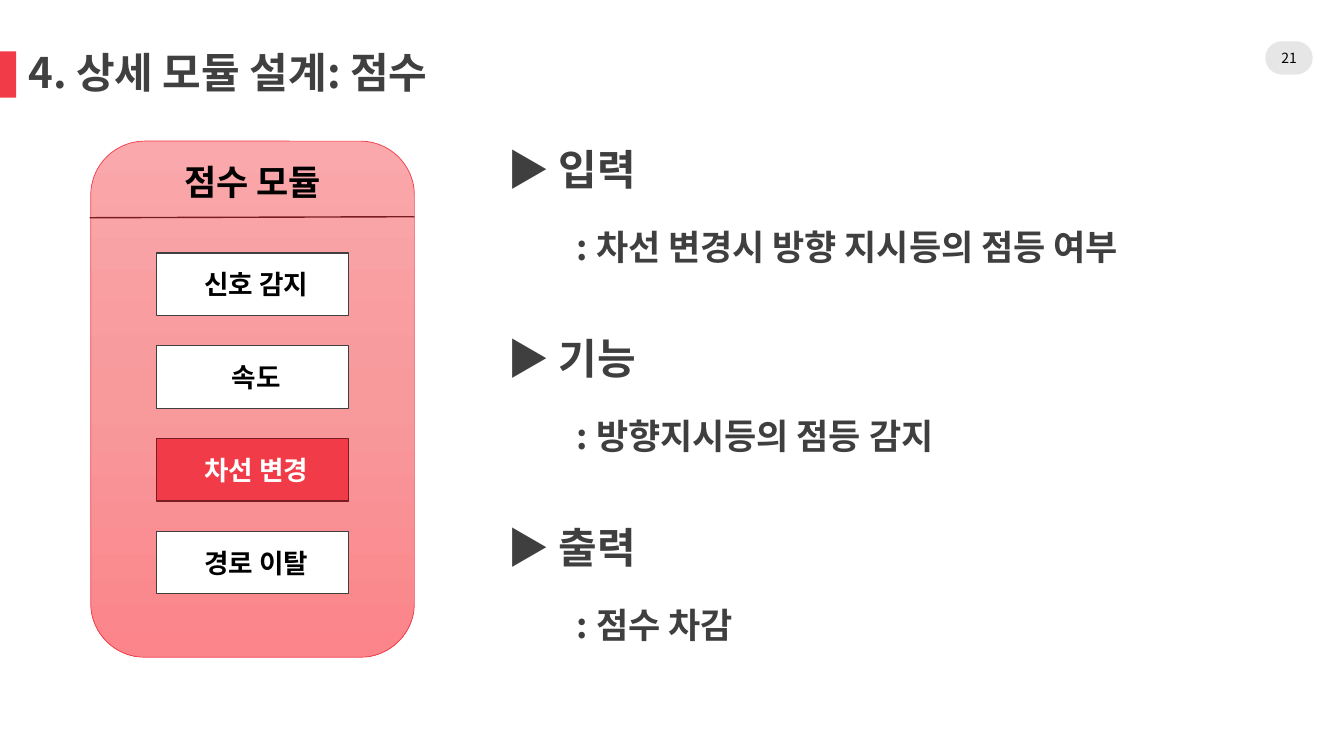
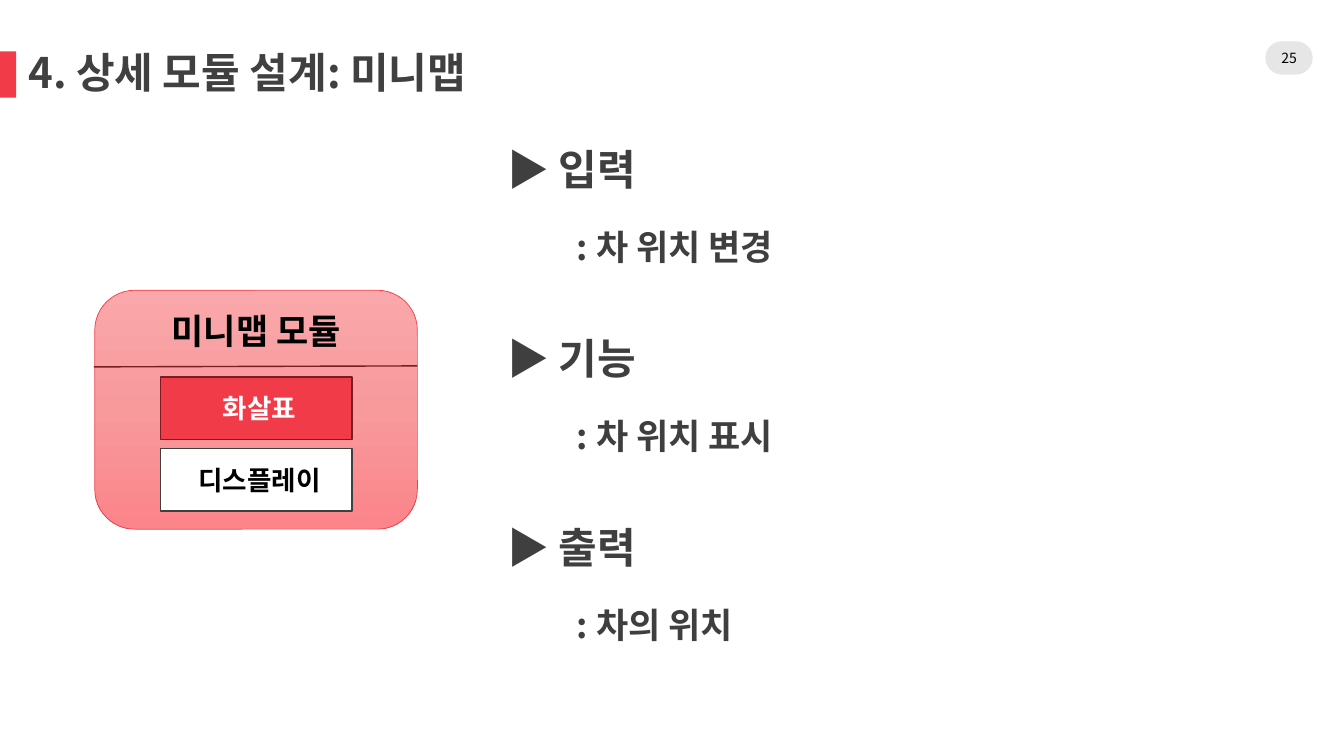
from copy import deepcopy

from lxml.etree import SubElement
from pptx import Presentation
from pptx.dml.color import RGBColor
from pptx.enum.shapes import MSO_CONNECTOR, MSO_SHAPE
from pptx.enum.text import MSO_ANCHOR, PP_ALIGN
from pptx.oxml.ns import qn
from pptx.util import Pt

EMU_PER_PX = 9144
FONT = "Noto Sans CJK KR"
RED, DARK_RED = "F23B48", "781D24"
BLACK, WHITE, PILL_GREY = "000000", "FFFFFF", "E7E6E6"
TITLE_GREY, TEXT_GREY = "404040", "3F3F3F"
PANEL_STOPS = [(0, "FAA8AB"), (0.5, "F8999C"), (1, "FB858A")]
ITEM_WIDTH, ITEM_HEIGHT = 190, 62

PAGES = [
    {
        "title": "4. 상세 모듈 설계: 점수",
        "number": "21",
        "panel": (90, 140, 321, 512),
        "module": "점수 모듈",
        "items": ["신호 감지", "속도", "차선 변경", "경로 이탈"],
        "active": "차선 변경",
        "first_item": 111,
        "pitch": 92,
        "details": [
            ("입력", "차선 변경시 방향 지시등의 점등 여부"),
            ("기능", "방향지시등의 점등 감지"),
            ("출력", "점수 차감"),
        ],
    },
    {
        "title": "4. 상세 모듈 설계: 미니맵",
        "number": "25",
        "panel": (94, 288, 320, 237),
        "module": "미니맵 모듈",
        "items": ["화살표", "디스플레이"],
        "active": "화살표",
        "first_item": 86,
        "pitch": 71,
        "details": [
            ("입력", "차 위치 변경"),
            ("기능", "차 위치 표시"),
            ("출력", "차의 위치"),
        ],
    },
]


def px(*lengths):
    """Turn pixel lengths into EMU."""
    return [round(length * EMU_PER_PX) for length in lengths]


def rgb(value):
    """Turn a hex string into a colour."""
    return RGBColor.from_string(value)


def style_para(para, size, color, bold=True, align=PP_ALIGN.LEFT):
    """Format a paragraph and its runs."""
    para.alignment = align
    for span in para.runs:
        span.font.name = FONT
        span.font.size = Pt(size)
        span.font.bold = bold
        span.font.color.rgb = rgb(color)
        SubElement(span.font._element, qn("a:ea")).set("typeface", FONT)


def set_frame(shape, anchor=MSO_ANCHOR.MIDDLE, left=0):
    """Give a shape a wrapped text frame without margins, except on the left."""
    frame = shape.text_frame
    frame.word_wrap = True
    frame.vertical_anchor = anchor
    frame.margin_left = px(left)[0]
    frame.margin_top = frame.margin_right = frame.margin_bottom = 0
    return frame


def add_box(page, kind, box, fill=None, line=None, width=1):
    """Add a preset shape with an optional solid fill and outline."""
    shape = page.shapes.add_shape(kind, *px(*box))
    shape.shadow.inherit = False
    if fill:
        shape.fill.solid()
        shape.fill.fore_color.rgb = rgb(fill)
    if line:
        shape.line.color.rgb = rgb(line)
        shape.line.width = Pt(width)
    else:
        shape.line.fill.background()
    return shape


def add_heading(page, title, number):
    """Place the title, its red band and the page number pill."""
    add_box(page, MSO_SHAPE.RECTANGLE, (0, 51, 16, 46), RED)
    holder = page.shapes.title
    holder.left, holder.top, holder.width, holder.height = px(28, 51, 849, 46)
    frame = set_frame(holder)
    frame.text = title
    frame.paragraphs[0].line_spacing = 0.9
    style_para(frame.paragraphs[0], 30, TITLE_GREY)

    pill = add_box(page, MSO_SHAPE.ROUNDED_RECTANGLE, (1255, 41, 47, 33), PILL_GREY)
    pill.adjustments[0] = 0.5
    frame = set_frame(pill)
    frame.text = number
    style_para(frame.paragraphs[0], 10, BLACK, False, PP_ALIGN.CENTER)


def fill_gradient(shape, stops):
    """Fill a shape from top to bottom with the given stops."""
    shape.fill.gradient()
    shape.fill.gradient_angle = 270
    stop_list = shape._element.spPr.find(qn("a:gradFill")).find(qn("a:gsLst"))
    stop_list.append(deepcopy(stop_list[0]))
    for stop, (position, color) in zip(shape.fill.gradient_stops, stops):
        stop.position = position
        stop.color.rgb = rgb(color)


def add_item(page, box, text, active):
    """Place one item of a module, in red when it is active."""
    fill, line, color = (RED, DARK_RED, WHITE) if active else (WHITE, TEXT_GREY, BLACK)
    frame = set_frame(add_box(page, MSO_SHAPE.RECTANGLE, box, fill, line), left=7)
    frame.text = text
    style_para(frame.paragraphs[0], 19, color, align=PP_ALIGN.CENTER)


def add_module(page, box, name, items, active, first_item, pitch):
    """Place the module panel with its name, rule and items."""
    left, top, width, height = box
    panel = add_box(page, MSO_SHAPE.ROUNDED_RECTANGLE, box, line=RED, width=0.5)
    panel.adjustments[0] = 0.167
    fill_gradient(panel, PANEL_STOPS)

    rule = page.shapes.add_connector(
        MSO_CONNECTOR.STRAIGHT, *px(left - 1, top + 76, left + width, top + 75)
    )
    rule.line.color.rgb = rgb(DARK_RED)
    rule.line.width = Pt(1)
    SubElement(rule._element.spPr, qn("a:effectLst"))

    label = page.shapes.add_textbox(*px(left, top + 19, width, 50))
    frame = set_frame(label, MSO_ANCHOR.TOP)
    frame.text = name
    style_para(frame.paragraphs[0], 25, BLACK, align=PP_ALIGN.CENTER)

    item_left = left + (width - ITEM_WIDTH) / 2
    for index, item in enumerate(items):
        item_top = top + first_item + index * pitch
        item_box = (item_left, item_top, ITEM_WIDTH, ITEM_HEIGHT)
        add_item(page, item_box, item, item == active)


def add_details(page, box, details):
    """Place the headings with an indented line under each."""
    frame = set_frame(page.shapes.add_textbox(*px(*box)), MSO_ANCHOR.TOP)
    for index, (heading, detail) in enumerate(details):
        para = frame.add_paragraph() if index else frame.paragraphs[0]
        para.text = f"▶ {heading}"
        para.line_spacing = 1.5
        para.space_before = Pt(28.7 if index else 0)
        style_para(para, 30, TEXT_GREY)

        para = frame.add_paragraph()
        para.text = f": {detail}"
        para.line_spacing = 1.5
        para.space_before = Pt(7.5)
        para._p.get_or_add_pPr().set("marL", str(px(69)[0]))
        style_para(para, 25, TEXT_GREY)


def add_page(deck, content):
    """Add one module page."""
    page = deck.slides.add_slide(deck.slide_layouts[5])
    add_heading(page, content["title"], content["number"])
    add_details(page, (503, 117, 769, 516), content["details"])
    add_module(
        page,
        content["panel"],
        content["module"],
        content["items"],
        content["active"],
        content["first_item"],
        content["pitch"],
    )


def main():
    """Build and save the deck."""
    deck = Presentation()
    deck.slide_width, deck.slide_height = px(1333, 750)
    for content in PAGES:
        add_page(deck, content)
    deck.save("out.pptx")


if __name__ == "__main__":
    main()
